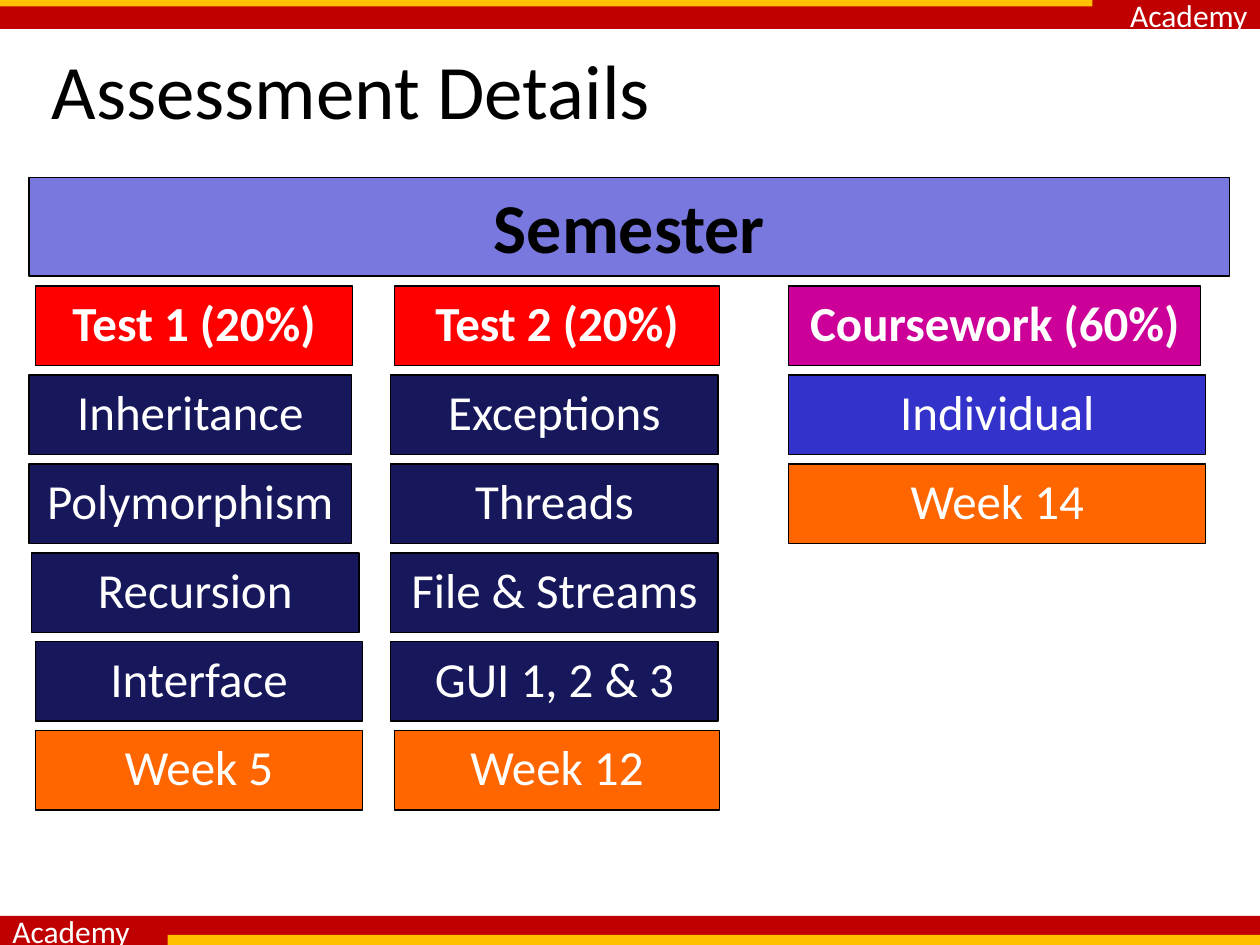
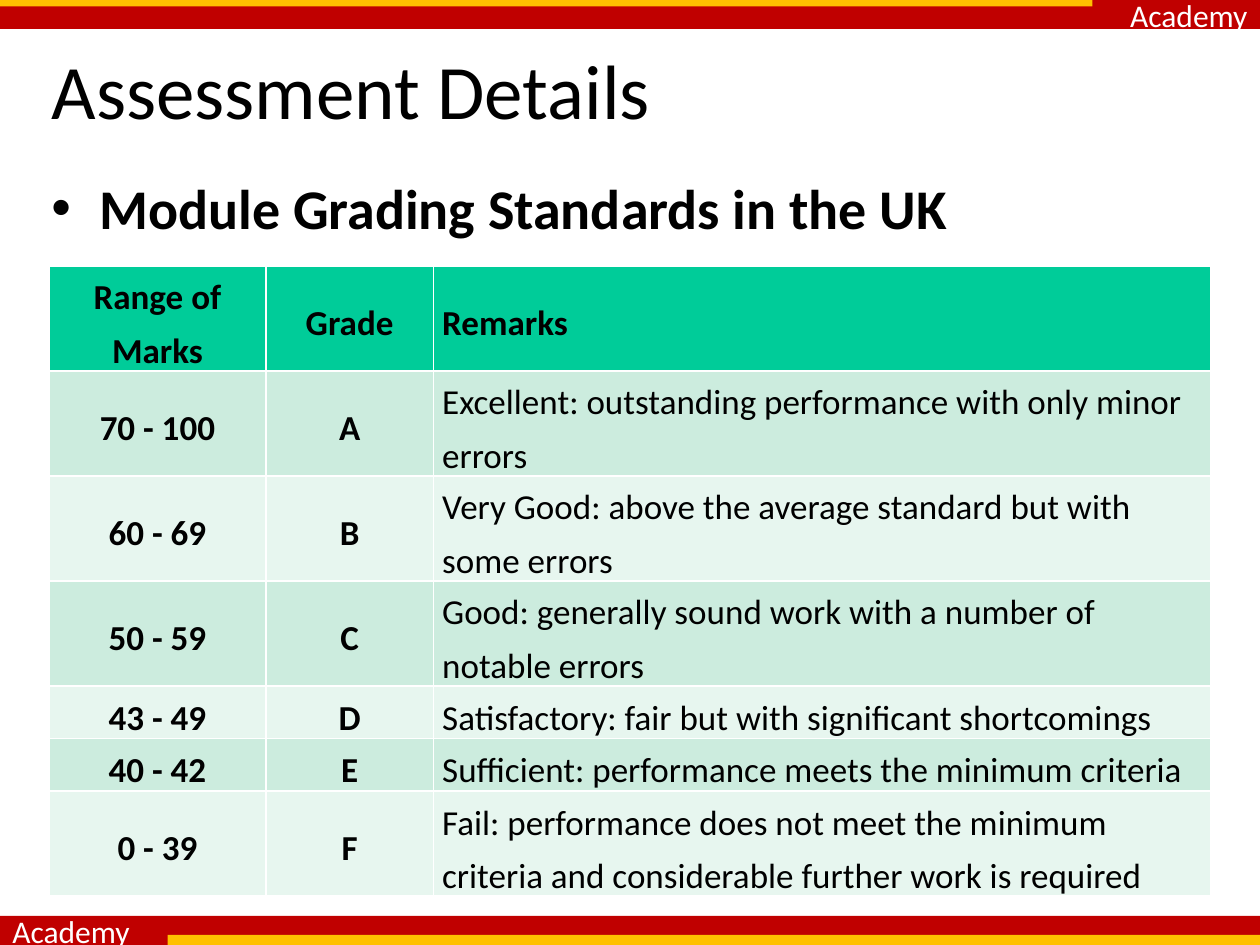
from lxml import etree
from pptx import Presentation
from pptx.dml.color import RGBColor
from pptx.enum.shapes import MSO_SHAPE
from pptx.enum.text import MSO_ANCHOR, MSO_AUTO_SIZE, PP_ALIGN
from pptx.oxml.ns import qn
from pptx.util import Inches, Pt

RECTANGLE = MSO_SHAPE.RECTANGLE
TOP, MIDDLE = MSO_ANCHOR.TOP, MSO_ANCHOR.MIDDLE
LEFT, CENTER, RIGHT = PP_ALIGN.LEFT, PP_ALIGN.CENTER, PP_ALIGN.RIGHT

FONT = "Calibri"
BRAND = "Academy"
TITLE = "Assessment Details"
TITLE_ONLY_LAYOUT = 5

BLACK = RGBColor(0x00, 0x00, 0x00)
WHITE = RGBColor(0xFF, 0xFF, 0xFF)
BAND_RED = RGBColor(0xC0, 0x00, 0x00)
BAND_GOLD = RGBColor(0xFF, 0xC0, 0x00)
LAVENDER = RGBColor(0x78, 0x78, 0xDE)
TEST_RED = RGBColor(0xFF, 0x00, 0x00)
MAGENTA = RGBColor(0xCC, 0x00, 0x99)
NAVY = RGBColor(0x17, 0x17, 0x5C)
BLUE = RGBColor(0x33, 0x33, 0xCC)
ORANGE = RGBColor(0xFF, 0x66, 0x00)
HEADER_GREEN = RGBColor(0x00, 0xCC, 0x99)
ROW_GREENS = (RGBColor(0xCC, 0xEC, 0xDE), RGBColor(0xE7, 0xF6, 0xEF))

BOX_HEIGHT = 0.63
FIRST_BOX_TOP, LAST_BOX_TOP = 2.27, 5.8
BOX_PITCH = (LAST_BOX_TOP - FIRST_BOX_TOP) / 5

# Each column runs downwards: text, left, width, fill
ASSESSMENT_COLUMNS = [
    [
        ("Test 1 (20%)", 0.28, 2.52, TEST_RED),
        ("Inheritance", 0.23, 2.56, NAVY),
        ("Polymorphism", 0.23, 2.56, NAVY),
        ("Recursion", 0.25, 2.6, NAVY),
        ("Interface", 0.28, 2.6, NAVY),
        ("Week 5", 0.28, 2.6, ORANGE),
    ],
    [
        ("Test 2 (20%)", 3.13, 2.58, TEST_RED),
        ("Exceptions", 3.1, 2.6, NAVY),
        ("Threads", 3.1, 2.6, NAVY),
        ("File & Streams", 3.1, 2.6, NAVY),
        ("GUI 1, 2 & 3", 3.1, 2.6, NAVY),
        ("Week 12", 3.13, 2.58, ORANGE),
    ],
    [
        ("Coursework (60%)", 6.26, 3.27, MAGENTA),
        ("Individual", 6.26, 3.31, BLUE),
        ("Week 14", 6.26, 3.31, ORANGE),
    ],
]

GRADE_COLUMN_WIDTHS = (1.72, 1.33, 6.17)
GRADE_ROW_HEIGHT = 0.41
GRADES = [
    ("Range of Marks", "Grade", "Remarks"),
    ("70 - 100", "A", "Excellent: outstanding performance with only minor errors"),
    ("60 - 69", "B", "Very Good: above the average standard but with some errors"),
    ("50 - 59", "C", "Good: generally sound work with a number of notable errors"),
    ("43 - 49", "D", "Satisfactory: fair but with significant shortcomings"),
    ("40 - 42", "E", "Sufficient: performance meets the minimum criteria"),
    ("0 - 39", "F", "Fail: performance does not meet the minimum criteria "
                    "and considerable further work is required"),
]


def write_text(text_frame, text, size, color, bold=False, alignment=LEFT):
    """Fill a text frame with one formatted paragraph and return it."""
    text_frame.text = text
    text_frame.word_wrap = True
    paragraph = text_frame.paragraphs[0]
    paragraph.alignment = alignment
    font = paragraph.runs[0].font
    font.name, font.size, font.bold = FONT, Pt(size), bold
    font.color.rgb = color
    return paragraph


def add_rectangle(slide, left, top, width, height, fill):
    shape = slide.shapes.add_shape(
        RECTANGLE, Inches(left), Inches(top), Inches(width), Inches(height))
    shape.shadow.inherit = False
    shape.fill.solid()
    shape.fill.fore_color.rgb = fill
    shape.line.fill.background()
    return shape


def add_band(slide, top, alignment, stripe):
    """Add a red band with the brand name and a gold stripe on it."""
    band = add_rectangle(slide, 0, top, 10, 0.23, BAND_RED)
    band.text_frame.vertical_anchor = MIDDLE
    write_text(band.text_frame, BRAND, 18, WHITE, alignment=alignment)
    add_rectangle(slide, *stripe, BAND_GOLD)


def add_titled_slide(presentation):
    slide = presentation.slides.add_slide(
        presentation.slide_layouts[TITLE_ONLY_LAYOUT])
    add_band(slide, 0, RIGHT, (0, 0, 8.67, 0.05))
    add_band(slide, 7.27, LEFT, (1.33, 7.42, 8.67, 0.08))
    title = slide.shapes.title
    title.left, title.top = Inches(0.31), Inches(0.29)
    title.width, title.height = Inches(9.69), Inches(0.83)
    title.text_frame.auto_size = MSO_AUTO_SIZE.NONE
    title.text_frame.vertical_anchor = MIDDLE
    write_text(title.text_frame, TITLE, 44, BLACK)
    return slide


def add_box(slide, text, left, top, width, height, fill,
            size=28, color=WHITE, bold=False):
    box = add_rectangle(slide, left, top, width, height, fill)
    box.line.color.rgb = BLACK
    box.line.width = Pt(0.75)
    box.text_frame.vertical_anchor = TOP
    write_text(box.text_frame, text, size, color, bold, CENTER)


def add_bullet_heading(slide, text):
    heading = slide.shapes.add_textbox(
        Inches(0.31), Inches(1.33), Inches(9.69), Inches(0.75))
    paragraph = write_text(heading.text_frame, text, 32, BLACK, bold=True)
    paragraph.space_before = Pt(7)
    properties = paragraph._p.get_or_add_pPr()
    properties.set("marL", str(Inches(0.38)))
    properties.set("indent", str(Inches(-0.38)))
    etree.SubElement(properties, qn("a:buFont"), typeface="Arial")
    etree.SubElement(properties, qn("a:buChar"), char="•")


def add_grade_table(slide):
    table = slide.shapes.add_table(
        len(GRADES), len(GRADE_COLUMN_WIDTHS), Inches(0.39), Inches(2.11),
        Inches(sum(GRADE_COLUMN_WIDTHS)),
        Inches(GRADE_ROW_HEIGHT * len(GRADES))).table
    for column, width in zip(table.columns, GRADE_COLUMN_WIDTHS):
        column.width = Inches(width)
    for row_index, texts in enumerate(GRADES):
        is_header = row_index == 0
        fill = HEADER_GREEN if is_header else ROW_GREENS[(row_index - 1) % 2]
        for column_index, text in enumerate(texts):
            is_remark = column_index == 2
            cell = table.cell(row_index, column_index)
            cell.fill.solid()
            cell.fill.fore_color.rgb = fill
            cell.vertical_anchor = MIDDLE
            cell.margin_left = cell.margin_right = Inches(0.07)
            cell.margin_top = cell.margin_bottom = 0
            paragraph = write_text(
                cell.text_frame, text, 20, BLACK,
                bold=is_header or not is_remark,
                alignment=LEFT if is_remark else CENTER)
            paragraph.line_spacing = 1.25


def build_schedule_slide(presentation):
    slide = add_titled_slide(presentation)
    add_box(slide, "Semester", 0.23, 1.41, 9.53, 0.78, LAVENDER,
            size=40, color=BLACK, bold=True)
    for column in ASSESSMENT_COLUMNS:
        for row, (text, left, width, fill) in enumerate(column):
            top = FIRST_BOX_TOP + row * BOX_PITCH
            add_box(slide, text, left, top, width, BOX_HEIGHT, fill,
                    bold=row == 0)


def build_grading_slide(presentation):
    slide = add_titled_slide(presentation)
    add_bullet_heading(slide, "Module Grading Standards in the UK")
    add_grade_table(slide)


def main():
    presentation = Presentation()
    presentation.slide_width = Inches(10)
    presentation.slide_height = Inches(7.5)
    build_schedule_slide(presentation)
    build_grading_slide(presentation)
    presentation.save("out.pptx")


if __name__ == "__main__":
    main()
